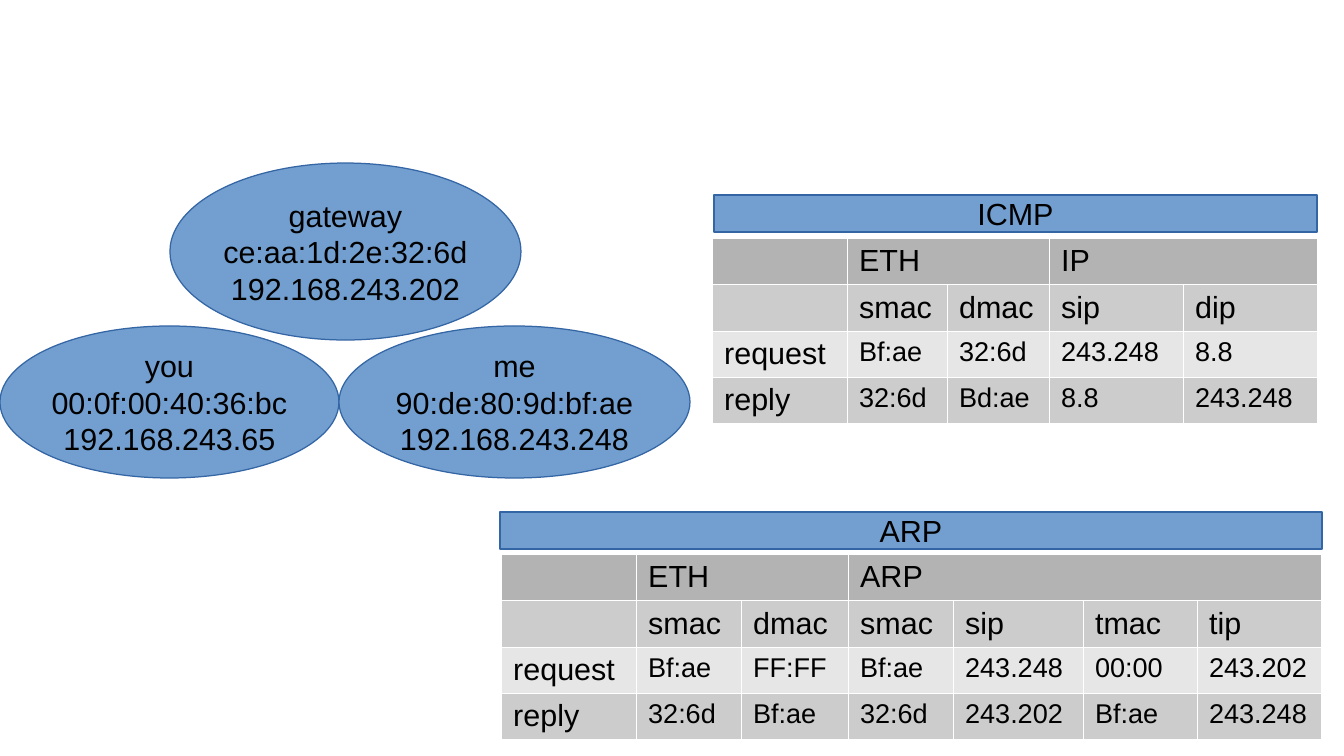
from lxml.etree import SubElement
from pptx import Presentation
from pptx.dml.color import RGBColor
from pptx.enum.shapes import MSO_SHAPE as Shape
from pptx.enum.text import MSO_ANCHOR as Anchor, PP_ALIGN as Align
from pptx.oxml.ns import qn
from pptx.util import Pt

EMU_PER_PX = 7495
BLACK = RGBColor(0x00, 0x00, 0x00)
WHITE = RGBColor(0xFF, 0xFF, 0xFF)
BLUE = RGBColor(0x72, 0x9F, 0xCF)
DARK_BLUE = RGBColor(0x34, 0x65, 0xA4)
HEADER_GRAY = RGBColor(0xB3, 0xB3, 0xB3)
MID_GRAY = RGBColor(0xCC, 0xCC, 0xCC)
LIGHT_GRAY = RGBColor(0xE6, 0xE6, 0xE6)
ROW_FILLS = [HEADER_GRAY, MID_GRAY, LIGHT_GRAY, MID_GRAY]
ROW_HEIGHT = 46

HOSTS = [
    ("gateway", "ce:aa:1d:2e:32:6d", "192.168.243.202", (170, 163, 351, 177)),
    ("you", "00:0f:00:40:36:bc", "192.168.243.65", (0, 326, 339, 152)),
    ("me", "90:de:80:9d:bf:ae", "192.168.243.248", (339, 326, 351, 152)),
]
ICMP_ROWS = [
    ["", "ETH", "", "IP", ""],
    ["", "smac", "dmac", "sip", "dip"],
    ["request", "Bf:ae", "32:6d", "243.248", "8.8"],
    ["reply", "32:6d", "Bd:ae", "8.8", "243.248"],
]
ARP_ROWS = [
    ["", "ETH", "", "ARP", "", "", ""],
    ["", "smac", "dmac", "smac", "sip", "tmac", "tip"],
    ["request", "Bf:ae", "FF:FF", "Bf:ae", "243.248", "00:00", "243.202"],
    ["reply", "32:6d", "Bf:ae", "32:6d", "243.202", "Bf:ae", "243.248"],
]


def px(length):
    return length * EMU_PER_PX


def style_font(paragraph, size=18):
    font = paragraph.font
    font.name = "Arial"
    font.size = Pt(size)
    font.bold = False
    font.color.rgb = BLACK


def add_label(slide, kind, box, lines):
    label = slide.shapes.add_shape(kind, *map(px, box))
    label.shadow.inherit = False
    label.fill.solid()
    label.fill.fore_color.rgb = BLUE
    label.line.color.rgb = DARK_BLUE
    label.line.width = Pt(0)
    frame = label.text_frame
    frame.word_wrap = False
    frame.vertical_anchor = Anchor.MIDDLE
    frame.text = "\n".join(lines)
    for paragraph in frame.paragraphs:
        paragraph.alignment = Align.CENTER
        style_font(paragraph)


def add_borders(cell):
    properties = cell._tc.get_or_add_tcPr()
    for side in ("lnL", "lnR", "lnT", "lnB"):
        border = SubElement(properties, qn(f"a:{side}"), w=str(Pt(0.06)))
        fill = SubElement(border, qn("a:solidFill"))
        SubElement(fill, qn("a:srgbClr"), val=str(WHITE))


def add_packet_table(slide, left, top, widths, rows, header_spans):
    frame = slide.shapes.add_table(
        len(rows), len(widths), px(left), px(top),
        px(sum(widths)), px(ROW_HEIGHT * len(rows)))
    table = frame.table
    table.first_row = False
    table.horz_banding = False
    for column, width in zip(table.columns, widths):
        column.width = px(width)
    for r, (texts, fill) in enumerate(zip(rows, ROW_FILLS)):
        table.rows[r].height = px(ROW_HEIGHT)
        for c, text in enumerate(texts):
            cell = table.cell(r, c)
            add_borders(cell)
            cell.fill.solid()
            cell.fill.fore_color.rgb = fill
            cell.text = text
            style_font(cell.text_frame.paragraphs[0],
                       16 if r > 1 and c > 0 else 18)
    for first, last in header_spans:
        table.cell(0, first).merge(table.cell(0, last))


def main():
    deck = Presentation()
    deck.slide_width = px(1344)
    deck.slide_height = px(756)
    slide = deck.slides.add_slide(deck.slide_layouts[6])

    add_packet_table(slide, 712, 238, [135, 100, 102, 134, 134],
                     ICMP_ROWS, [(1, 2), (3, 4)])
    add_packet_table(slide, 501, 554, [135, 105, 107, 105, 130, 114, 124],
                     ARP_ROWS, [(1, 2), (3, 6)])
    add_label(slide, Shape.RECTANGLE, (714, 195, 603, 37), ["ICMP"])
    add_label(slide, Shape.RECTANGLE, (500, 512, 822, 37), ["ARP"])
    for name, mac, ip, box in HOSTS:
        add_label(slide, Shape.OVAL, box, [name, mac, ip])

    deck.save("out.pptx")


if __name__ == "__main__":
    main()
